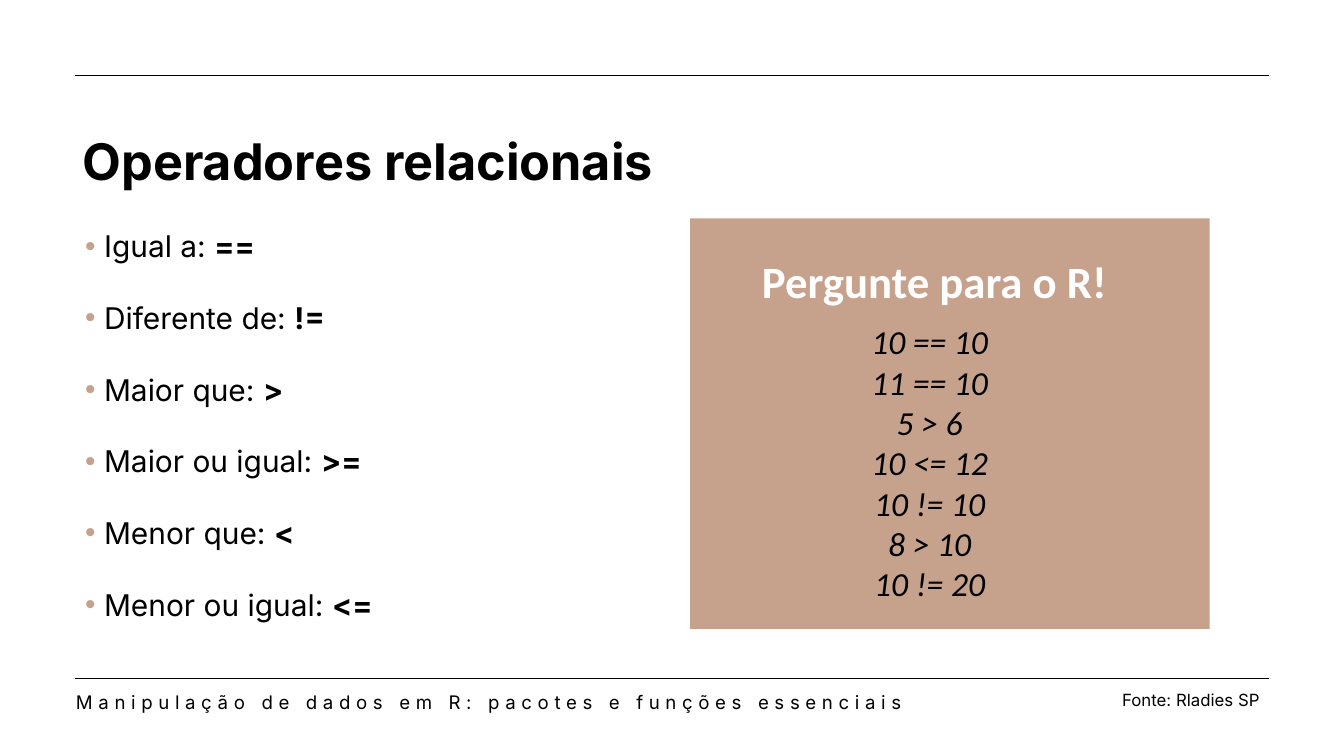
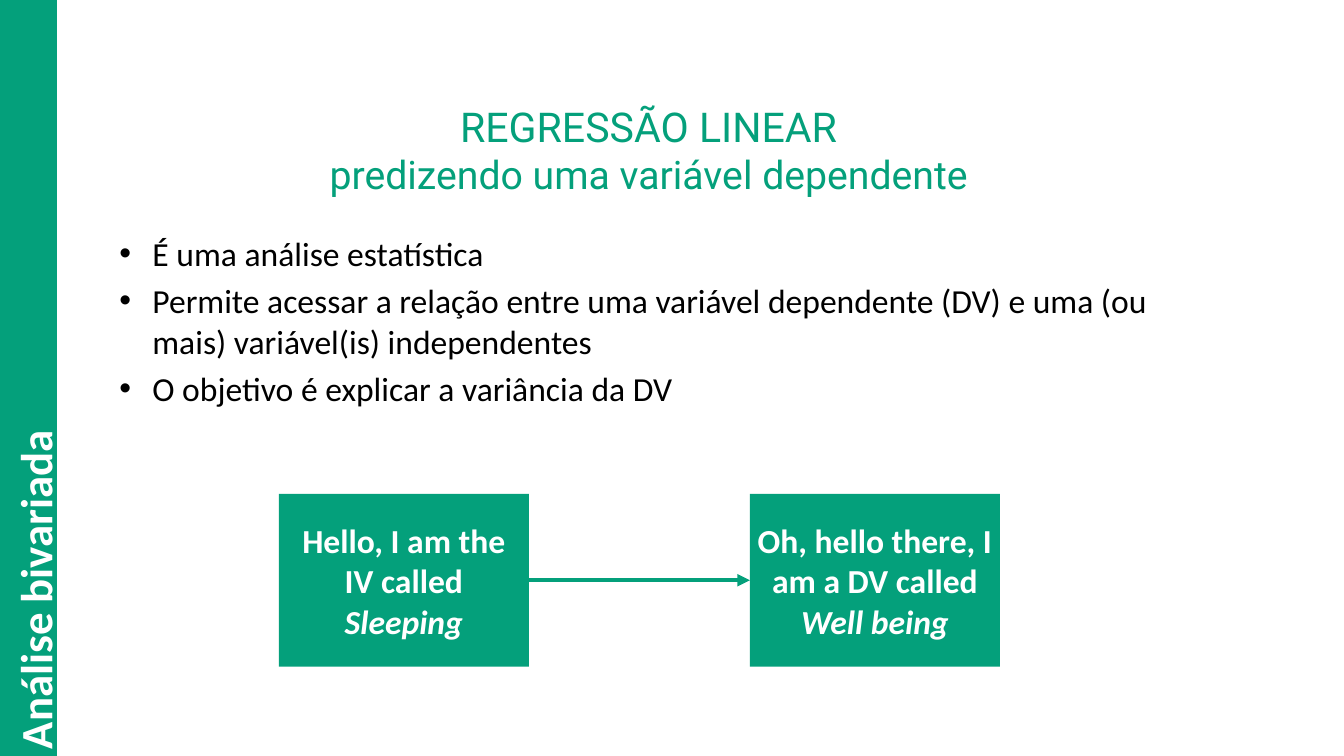
"""Builds two slides: relational operators in R and linear regression."""
from lxml import etree
from pptx import Presentation
from pptx.dml.color import RGBColor
from pptx.enum.shapes import MSO_CONNECTOR, MSO_SHAPE
from pptx.enum.text import MSO_ANCHOR, MSO_AUTO_SIZE, PP_ALIGN
from pptx.oxml.ns import qn
from pptx.util import Inches, Pt

RECTANGLE, STRAIGHT = MSO_SHAPE.RECTANGLE, MSO_CONNECTOR.STRAIGHT
LEFT, CENTER = PP_ALIGN.LEFT, PP_ALIGN.CENTER
TOP, MIDDLE = MSO_ANCHOR.TOP, MSO_ANCHOR.MIDDLE
NO_FIT = MSO_AUTO_SIZE.NONE

COLORS = {"black": "000000", "white": "FFFFFF", "clay": "C6A28D", "green": "04A07B"}
WIDTH, HEIGHT = 20, 11.25
MARGIN = 1.12
RULES_Y = (10.1, 1.12)

OPERATORS = [
    ("Igual a: ", "=="),
    ("Diferente de: ", "!="),
    ("Maior que: ", ">"),
    ("Maior ou igual: ", ">="),
    ("Menor que: ", "<"),
    ("Menor ou igual: ", "<="),
]
QUESTIONS = ["10 == 10", "11 == 10", "5 > 6", "10 <= 12", "10 != 10", "8 > 10", "10 != 20"]
COURSE = "Manipulação de dados em R: pacotes e funções essenciais"

REGRESSION_POINTS = [
    "É uma análise estatística",
    "Permite acessar a relação entre uma variável dependente (DV) e uma (ou mais) "
    "variável(is) independentes",
    "O objetivo é explicar a variância da DV",
]
VARIABLES = [
    ("Hello, I am the IV called ", "Sleeping"),
    ("Oh, hello there, I am a DV called ", "Well being"),
]
VARIABLE_X, VARIABLE_STEP = 4.15, 7.01
VARIABLE_Y, VARIABLE_W, VARIABLE_H = 7.35, 3.72, 2.57


def rgb(name):
    return RGBColor.from_string(COLORS[name])


def add_bullet(paragraph, indent, color):
    properties = paragraph._p.get_or_add_pPr()
    properties.set("marL", str(Inches(indent)))
    properties.set("indent", str(-Inches(indent)))
    bullet_color = etree.SubElement(properties, qn("a:buClr"))
    etree.SubElement(bullet_color, qn("a:srgbClr"), val=COLORS[color])
    etree.SubElement(properties, qn("a:buFont"), typeface="Arial")
    etree.SubElement(properties, qn("a:buChar"), char="•")


def write(shape, paragraphs, font="Calibri", size=36, color="black", bold=False, italic=False,
          align=LEFT, anchor=TOP, inset=None, wrap=True, bullet=None, indent=0,
          gap=0, line_height=None, tracking=0):
    """Write paragraphs, each a string or a list of (text, font changes) runs."""
    frame = shape.text_frame
    frame.word_wrap = wrap
    frame.auto_size = NO_FIT
    frame.vertical_anchor = anchor
    if inset is not None:
        frame.margin_left = frame.margin_right = Inches(inset)
        frame.margin_top = frame.margin_bottom = Inches(inset)
    for index, runs in enumerate(paragraphs):
        paragraph = frame.add_paragraph() if index else frame.paragraphs[0]
        if bullet:
            add_bullet(paragraph, indent, bullet)
        paragraph.alignment = align
        if index and gap:
            paragraph.space_before = Pt(gap)
        if line_height:
            paragraph.line_spacing = Pt(line_height)
        for words, changes in [(runs, {})] if isinstance(runs, str) else runs:
            look = {"size": size, "bold": bold, "italic": italic, **changes}
            run = paragraph.add_run()
            run.text = words
            run.font.name = font
            run.font.size = Pt(look["size"])
            run.font.bold = look["bold"]
            run.font.italic = look["italic"]
            run.font.color.rgb = rgb(color)
            if tracking:
                run._r.get_or_add_rPr().set("spc", str(tracking * 100))


def add_text(slide, box, paragraphs, rotation=0, **look):
    text_box = slide.shapes.add_textbox(*map(Inches, box))
    text_box.rotation = rotation
    write(text_box, paragraphs, **look)


def add_block(slide, box, color):
    block = slide.shapes.add_shape(RECTANGLE, *map(Inches, box))
    block.shadow.inherit = False
    block.fill.solid()
    block.fill.fore_color.rgb = rgb(color)
    block.line.fill.background()
    return block


def add_line(slide, ends, color, weight):
    line = slide.shapes.add_connector(STRAIGHT, *map(Inches, ends))
    line.line.color.rgb = rgb(color)
    line.line.width = Pt(weight)
    etree.SubElement(line._element.spPr, qn("a:effectLst"))
    return line


def build_operators(slide):
    operator_lines = [[(label, {}), (sign, {"bold": True})] for label, sign in OPERATORS]
    add_text(slide, (1.17, 3.34, 9, 6.02), operator_lines, font="Inter", size=32,
             bullet="clay", indent=0.28, gap=38.4)
    add_block(slide, (10.27, 3.25, 7.73, 6.11), "clay")
    add_text(slide, (10.48, 3.73, 6.85, 0.91), ["Pergunte para o R!"], size=48,
             color="white", bold=True, align=CENTER)
    add_text(slide, (10.27, 4.73, 7.13, 4.34), QUESTIONS, italic=True, align=CENTER)
    for y in RULES_Y:
        add_line(slide, (MARGIN, y, WIDTH - MARGIN, y), "black", 1.5)
    add_text(slide, (1.13, 10.23, 12.71, 0.36), [COURSE], font="Inter", size=20,
             inset=0, line_height=28, tracking=6)
    add_text(slide, (1.13, 1.44, 15.95, 1.9), ["Operadores relacionais"], font="Inter",
             size=54, bold=True, anchor=MIDDLE)
    add_text(slide, (16.6, 10.21, 2.28, 0.4), ["Fonte: Rladies SP"], font="Inter",
             size=18, wrap=False)


def build_regression(slide):
    add_text(slide, (1.68, 3.42, 16.5, 3.93), REGRESSION_POINTS, bullet="black",
             indent=0.49, gap=7.2)
    variables = []
    for index, (greeting, variable) in enumerate(VARIABLES):
        x = VARIABLE_X + index * VARIABLE_STEP
        block = add_block(slide, (x, VARIABLE_Y, VARIABLE_W, VARIABLE_H), "green")
        write(block, [[(greeting, {}), (variable, {"italic": True})]], color="white",
              bold=True, align=CENTER, anchor=MIDDLE)
        variables.append(block)
    middle = VARIABLE_Y + VARIABLE_H / 2
    arrow = add_line(slide, (VARIABLE_X + VARIABLE_W, middle,
                             VARIABLE_X + VARIABLE_STEP, middle), "green", 4.5)
    arrow.begin_connect(variables[0], 3)
    arrow.end_connect(variables[1], 1)
    etree.SubElement(arrow.line._get_or_add_ln(), qn("a:tailEnd"), type="triangle")
    band = add_block(slide, (0, 0, 0.84, HEIGHT), "green")
    band.line.color.rgb = rgb("green")
    band.line.width = Pt(2)
    add_text(slide, (-3.49, 6.78, 8.02, 0.91), ["Análise bivariada"], rotation=270,
             size=48, color="white", bold=True)
    add_text(slide, (1.68, 0.99, 15.95, 2.46),
             ["REGRESSÃO LINEAR", [("predizendo uma variável dependente", {"size": 42})]],
             font="Roboto", size=44, color="green", align=CENTER, anchor=MIDDLE)


def main():
    deck = Presentation()
    deck.slide_width, deck.slide_height = Inches(WIDTH), Inches(HEIGHT)
    for build in (build_operators, build_regression):
        build(deck.slides.add_slide(deck.slide_layouts[6]))
    deck.save("out.pptx")


if __name__ == "__main__":
    main()
